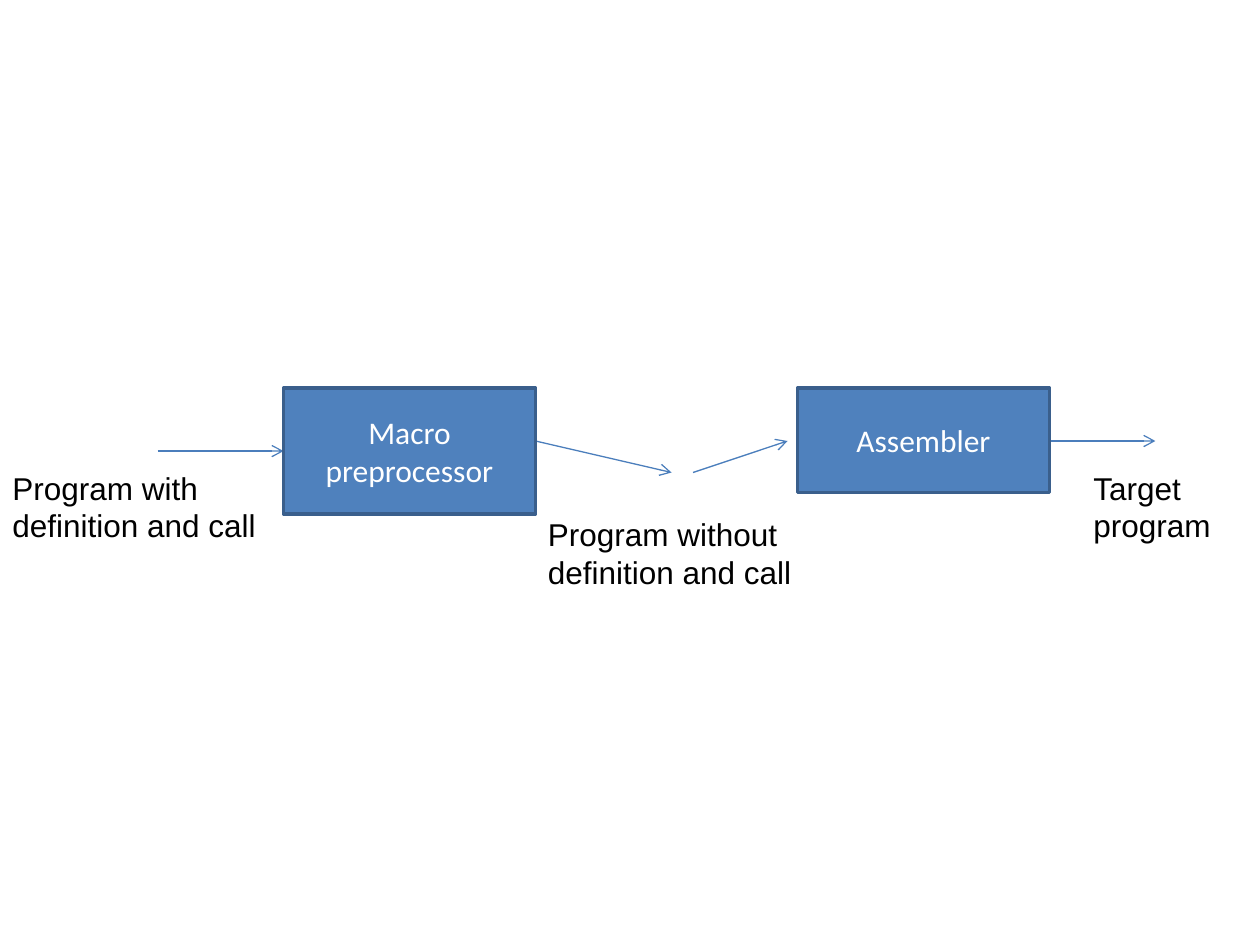
from pptx import Presentation
from pptx.dml.color import RGBColor
from pptx.enum.shapes import MSO_CONNECTOR, MSO_SHAPE
from pptx.enum.text import MSO_ANCHOR, MSO_AUTO_SIZE, PP_ALIGN
from pptx.oxml.ns import qn
from pptx.util import Inches, Pt
from lxml.etree import SubElement


def color(value):
    return RGBColor.from_string(value)


def write(shape, text, font, value):
    frame = shape.text_frame
    frame.word_wrap = True
    frame.text = text
    span = frame.paragraphs[0].runs[0]
    span.font.name = font
    span.font.size = Pt(18)
    span.font.color.rgb = color(value)
    return frame


deck = Presentation()
deck.slide_width = Inches(10)
deck.slide_height = Inches(7.5)
page = deck.slides.add_slide(deck.slide_layouts[6])

arrows = [
    (1.25, 3.58, 2.25, 3.58),
    (4.25, 3.5, 5.33, 3.75),
    (5.5, 3.75, 6.25, 3.5),
    (8.25, 3.5, 9.17, 3.5),
]
for ends in arrows:
    arrow = page.shapes.add_connector(MSO_CONNECTOR.STRAIGHT, *map(Inches, ends))
    arrow.line.color.rgb = color("4B7EBC")
    arrow.line.width = Pt(0.75)
    SubElement(arrow.line._get_or_add_ln(), qn("a:tailEnd"), type="arrow")
    SubElement(arrow._element.spPr, qn("a:effectLst"))

stages = [("Macro preprocessor", 2.25, 1), ("Assembler", 6.33, 0.83)]
for text, left, height in stages:
    stage = page.shapes.add_shape(
        MSO_SHAPE.RECTANGLE, Inches(left), Inches(3.08), Inches(2), Inches(height)
    )
    stage.shadow.inherit = False
    stage.fill.solid()
    stage.fill.fore_color.rgb = color("4F81BD")
    stage.line.color.rgb = color("3A5F8C")
    stage.line.width = Pt(2)
    frame = write(stage, text, "Calibri", "FFFFFF")
    frame.vertical_anchor = MSO_ANCHOR.MIDDLE
    frame.paragraphs[0].alignment = PP_ALIGN.CENTER

labels = [
    ("Program with definition and call", 0, 3.67, 2.17),
    ("Program without definition and call", 4.25, 4.04, 2.33),
    ("Target program", 8.58, 3.67, 1.25),
]
for text, left, top, width in labels:
    label = page.shapes.add_textbox(
        Inches(left), Inches(top), Inches(width), Inches(0.71)
    )
    frame = write(label, text, "Arial", "000000")
    frame.auto_size = MSO_AUTO_SIZE.SHAPE_TO_FIT_TEXT

deck.save("out.pptx")
